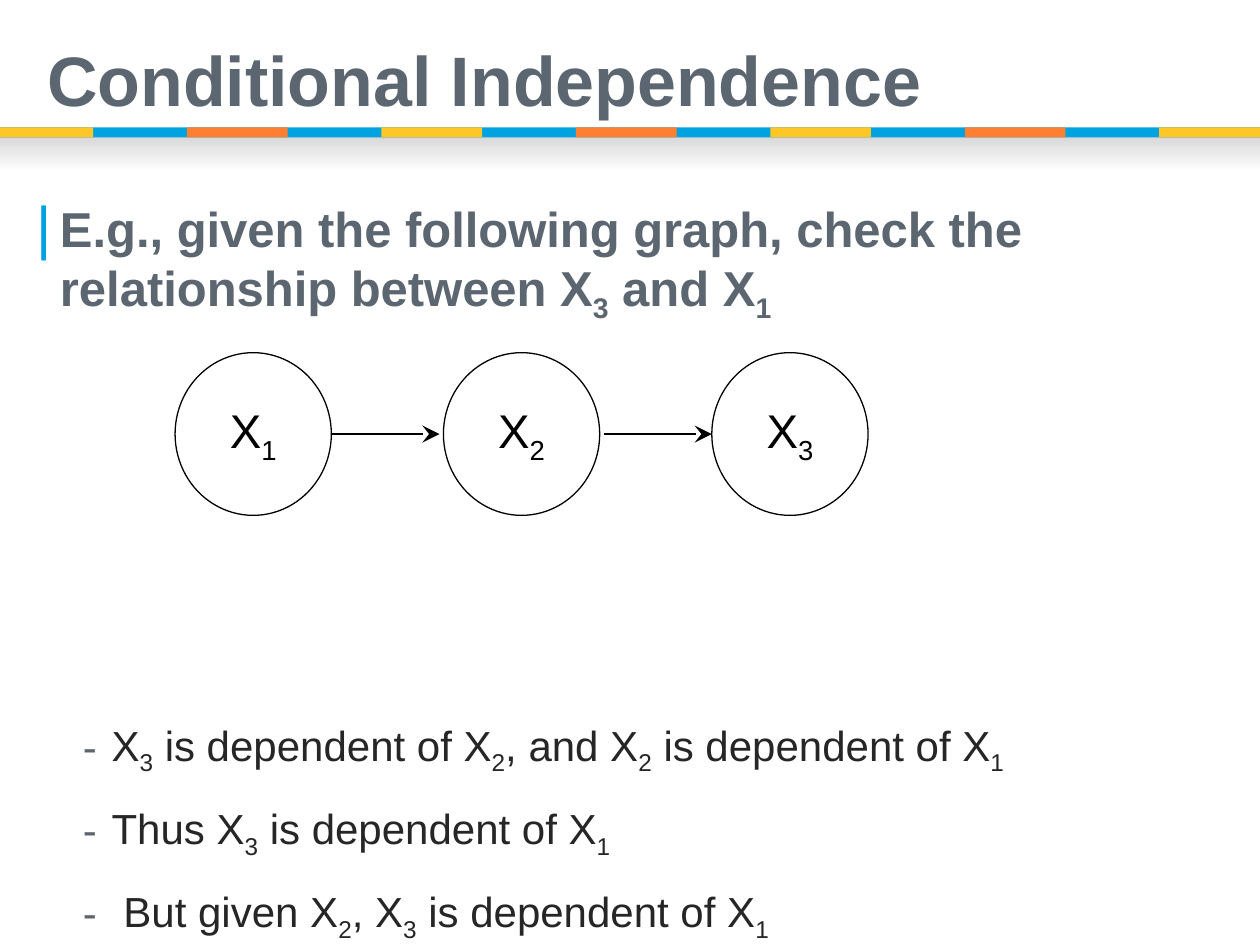
import lxml.etree
import pptx
import pptx.dml.color
import pptx.enum.shapes
import pptx.enum.text
import pptx.oxml.ns
import pptx.util

Cm = pptx.util.Cm
Pt = pptx.util.Pt
qn = pptx.oxml.ns.qn
SHAPE = pptx.enum.shapes.MSO_SHAPE
ANCHOR = pptx.enum.text.MSO_ANCHOR
ALIGN = pptx.enum.text.PP_ALIGN

SLATE, BLUE, YELLOW, ORANGE = "5C6670", "00A2E0", "FFC627", "FF7F32"
BLACK, CHARCOAL = "000000", "262626"


def colour(value):
    return pptx.dml.color.RGBColor.from_string(value)


def set_font(para, size, value, bold=False):
    para.font.name = "Arial"
    para.font.size = Pt(size)
    para.font.bold = bold
    para.font.color.rgb = colour(value)


def add_subscripted(para, text):
    first, *rest = text.split("_")
    para.add_run().text = first
    for piece in rest:
        span = para.add_run()
        span.text = piece[0]
        span._r.get_or_add_rPr().set("baseline", "-25000")
        if piece[1:]:
            para.add_run().text = piece[1:]


def add_bullet(para, character, value, percent, margin, hanging):
    properties = para._p.get_or_add_pPr()
    properties.set("marL", str(Cm(margin)))
    properties.set("indent", str(-Cm(hanging)))
    bullet_colour = lxml.etree.SubElement(properties, qn("a:buClr"))
    lxml.etree.SubElement(bullet_colour, qn("a:srgbClr"), val=value)
    lxml.etree.SubElement(properties, qn("a:buSzPct"), val=str(percent * 1000))
    lxml.etree.SubElement(properties, qn("a:buFont"), typeface="Arial")
    lxml.etree.SubElement(properties, qn("a:buChar"), char=character)


def add_block(page, left, top, width, height, value=None):
    block = page.shapes.add_shape(
        SHAPE.RECTANGLE, Cm(left), Cm(top), Cm(width), Cm(height))
    block.shadow.inherit = False
    block.line.fill.background()
    if value:
        block.fill.solid()
        block.fill.fore_color.rgb = colour(value)
    return block


def add_band(page, left, top, width, height):
    shade = add_block(page, left, top + height, width, 0.69)
    shade.fill.gradient()
    shade.fill.gradient_angle = 270
    for stop, value, position in zip(
            shade.fill.gradient_stops, ("D9D9D9", "FFFFFF"), (0, 1)):
        stop.color.rgb = colour(value)
        stop.position = position

    add_block(page, left, top, width, height, BLUE)
    stripe = 2.03
    pitch = (width - stripe + 0.15) / 6
    for index in range(7):
        start = max(0, index * pitch - 0.15)
        end = index * pitch - 0.15 + stripe
        add_block(page, left + start, top, end - start, height,
                  (YELLOW, ORANGE)[index % 2])


def fill_title(page, left, top, width, height):
    title = page.shapes.title
    title.left, title.top = Cm(left), Cm(top)
    title.width, title.height = Cm(width), Cm(height)
    frame = title.text_frame
    frame.text = "Conditional Independence"
    frame.vertical_anchor = ANCHOR.MIDDLE
    para = frame.paragraphs[0]
    para.alignment = ALIGN.LEFT
    para.line_spacing = 0.9
    set_font(para, 40, SLATE, bold=True)


def add_text_frame(page, left, top, width, height):
    box = page.shapes.add_textbox(Cm(left), Cm(top), Cm(width), Cm(height))
    frame = box.text_frame
    frame.word_wrap = True
    frame.margin_left = frame.margin_right = Cm(0.18)
    frame.margin_top = frame.margin_bottom = Cm(0.1)
    return frame


def add_question(page, left, top, width, height):
    para = add_text_frame(page, left, top, width, height).paragraphs[0]
    add_subscripted(para, "E.g., given the following graph, check the "
                          "relationship between X_3 and X_1")
    add_bullet(para, "|", BLUE, 120, 0.48, 0.48)
    set_font(para, 28, SLATE, bold=True)


def add_conclusions(page, left, top, width, height):
    frame = add_text_frame(page, left, top, width, height)
    conclusions = [
        ("X_3 is dependent of X_2, and X_2 is dependent of X_1", 0.58),
        ("Thus X_3 is dependent of X_1", 0.58),
        ("But given X_2, X_3 is dependent of X_1", 0.82),
    ]
    for index, (text, hanging) in enumerate(conclusions):
        para = frame.add_paragraph() if index else frame.paragraphs[0]
        add_subscripted(para, text)
        if index:
            para.space_before = Pt(14.8)
        add_bullet(para, "-", SLATE, 100, 0.94 + hanging, hanging)
        set_font(para, 24, CHARCOAL)


def add_node(page, label, left, top, width, height):
    node = page.shapes.add_shape(
        SHAPE.OVAL, Cm(left), Cm(top), Cm(width), Cm(height))
    node.shadow.inherit = False
    node.fill.background()
    node.line.color.rgb = colour(BLACK)
    node.line.width = Pt(0.75)
    frame = node.text_frame
    frame.word_wrap = False
    frame.vertical_anchor = ANCHOR.MIDDLE
    para = frame.paragraphs[0]
    para.alignment = ALIGN.CENTER
    add_subscripted(para, label)
    set_font(para, 27, BLACK)


def add_arrow(page, start, end, level):
    arrow = page.shapes.add_connector(
        pptx.enum.shapes.MSO_CONNECTOR.STRAIGHT,
        Cm(start), Cm(level), Cm(end), Cm(level))
    arrow.line.color.rgb = colour(BLACK)
    arrow.line.width = Pt(0.75)
    lxml.etree.SubElement(arrow.line._get_or_add_ln(), qn("a:tailEnd"),
                          type="stealth", w="lg", len="lg")
    lxml.etree.SubElement(arrow._element.spPr, qn("a:effectLst"))


def add_graph(page, left, top, width, height):
    node_width = 3.15
    pitch = (width - node_width) / 2
    for index in range(3):
        add_node(page, f"X_{index + 1}", left + index * pitch, top,
                 node_width, height)
    for index in range(2):
        start = left + index * pitch + node_width + index * 0.08
        add_arrow(page, start, start + 2.18, top + height / 2)


def main():
    deck = pptx.Presentation()
    deck.slide_width, deck.slide_height = Cm(25.4), Cm(19.05)
    page = deck.slides.add_slide(deck.slide_layouts[5])
    add_band(page, 0, 2.57, 25.4, 0.2)
    fill_title(page, 0.7, 0.51, 24.7, 2.34)
    add_question(page, 0.55, 3.91, 23.8, 2.6)
    add_graph(page, 3.53, 7.11, 13.97, 3.28)
    add_conclusions(page, 0.55, 14.4, 23.8, 4.65)
    deck.save("out.pptx")


if __name__ == "__main__":
    main()
